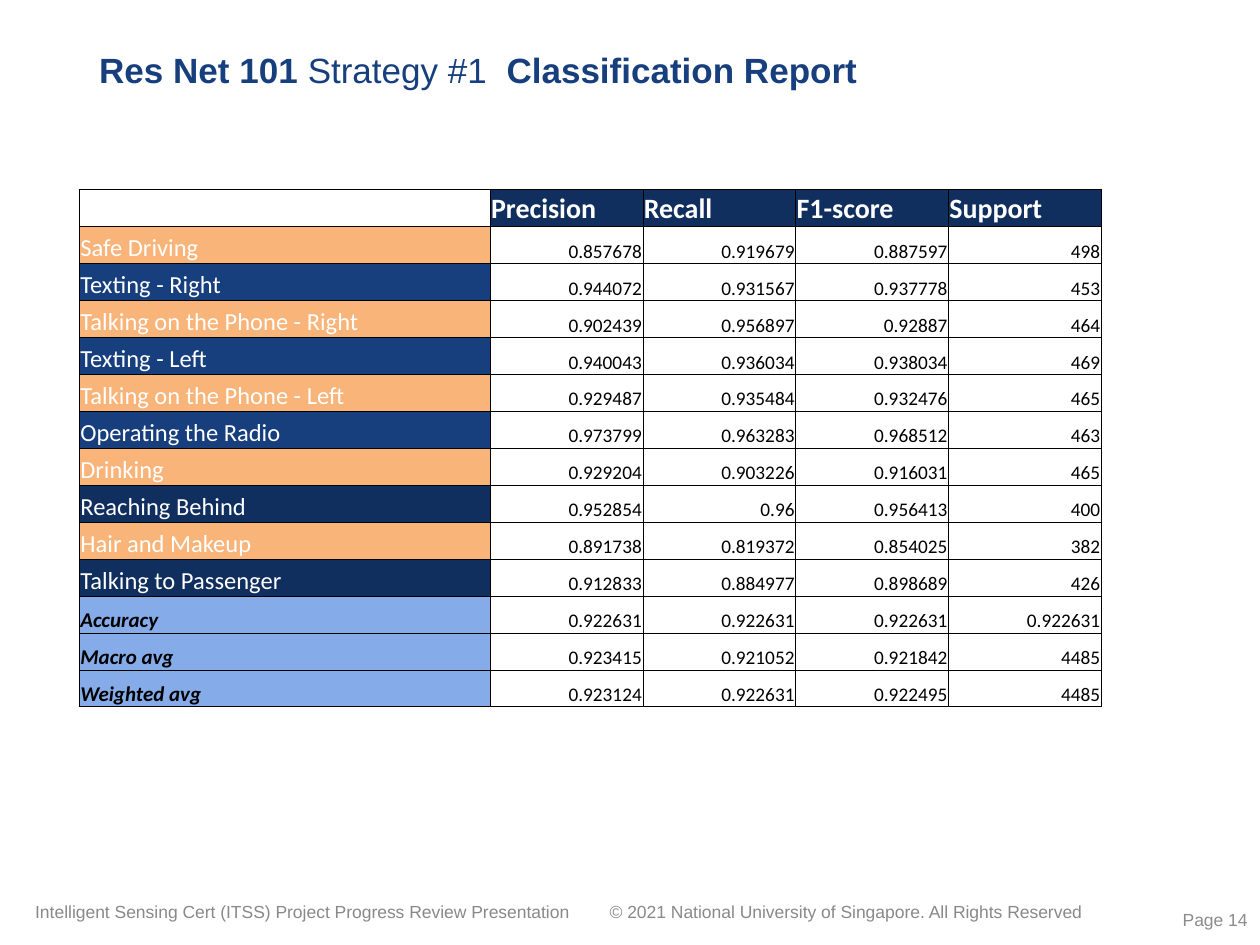
from dataclasses import dataclass

from lxml.etree import SubElement
from pptx import Presentation
from pptx.dml.color import RGBColor
from pptx.enum.text import MSO_ANCHOR, PP_ALIGN
from pptx.oxml.ns import qn
from pptx.slide import Slide
from pptx.table import _Cell
from pptx.util import Cm, Pt


@dataclass(frozen=True)
class Theme:
    """Colours, fonts and type sizes of the slide."""
    navy: str = "112F5E"
    blue: str = "173F7E"
    orange: str = "F9B479"
    light_blue: str = "85ACE9"
    white: str = "FFFFFF"
    black: str = "000000"
    footer_grey: str = "898989"
    page_grey: str = "8C8C8C"
    slide_font: str = "Arial"
    table_font: str = "Calibri"
    title_size: int = 20
    footer_size: int = 10
    header_size: int = 16
    label_size: int = 14
    summary_size: int = 12
    value_size: int = 11


THEME = Theme()


@dataclass(frozen=True)
class TextStyle:
    """Look of one paragraph."""
    size: int
    color: str
    font: str = THEME.table_font
    bold: bool = False
    italic: bool = False
    align: PP_ALIGN = PP_ALIGN.LEFT


@dataclass(frozen=True)
class Label:
    """Text box placed in centimetres."""
    runs: tuple[tuple[str, bool], ...]
    box: tuple[float, float, float, float]
    style: TextStyle
    anchor: MSO_ANCHOR = MSO_ANCHOR.TOP
    line_spacing: float = 1.0


@dataclass(frozen=True)
class ReportRow:
    """One line of the classification report."""
    name: str
    values: tuple[str, ...]
    fill: str
    summary: bool = False


HEADER = TextStyle(THEME.header_size, THEME.white, bold=True)
CLASS_NAME = TextStyle(THEME.label_size, THEME.white)
SUMMARY_NAME = TextStyle(THEME.summary_size, THEME.black, bold=True, italic=True)
VALUE = TextStyle(THEME.value_size, THEME.black, align=PP_ALIGN.RIGHT)
TITLE = TextStyle(THEME.title_size, THEME.blue, THEME.slide_font)
FOOTER = TextStyle(THEME.footer_size, THEME.footer_grey, THEME.slide_font)
PAGE = TextStyle(THEME.footer_size, THEME.page_grey, THEME.slide_font, align=PP_ALIGN.RIGHT)

LABELS = (
    Label((("© 2021 National University of Singapore. All Rights Reserved", False),),
          (12.04, 18.03, 11.07, 0.66), FOOTER),
    Label((("Intelligent Sensing Cert (ITSS) Project Progress Review Presentation", False),),
          (0.46, 18.03, 11.58, 0.66), FOOTER),
    Label((("Res Net 101 ", True), ("Strategy #1 ", False), (" Classification Report", True)),
          (1.75, 0.69, 18.34, 1.52), TITLE, MSO_ANCHOR.MIDDLE, 0.9),
    Label((("Page 14", False),), (22.22, 18.03, 3.18, 1.02), PAGE, MSO_ANCHOR.MIDDLE),
)

METRICS = ("Precision", "Recall", "F1-score", "Support")
REPORT = (
    ReportRow("Safe Driving", ("0.857678", "0.919679", "0.887597", "498"), THEME.orange),
    ReportRow("Texting - Right", ("0.944072", "0.931567", "0.937778", "453"), THEME.blue),
    ReportRow("Talking on the Phone - Right", ("0.902439", "0.956897", "0.92887", "464"), THEME.orange),
    ReportRow("Texting - Left", ("0.940043", "0.936034", "0.938034", "469"), THEME.blue),
    ReportRow("Talking on the Phone - Left", ("0.929487", "0.935484", "0.932476", "465"), THEME.orange),
    ReportRow("Operating the Radio", ("0.973799", "0.963283", "0.968512", "463"), THEME.blue),
    ReportRow("Drinking", ("0.929204", "0.903226", "0.916031", "465"), THEME.orange),
    ReportRow("Reaching Behind", ("0.952854", "0.96", "0.956413", "400"), THEME.navy),
    ReportRow("Hair and Makeup", ("0.891738", "0.819372", "0.854025", "382"), THEME.orange),
    ReportRow("Talking to Passenger", ("0.912833", "0.884977", "0.898689", "426"), THEME.navy),
    ReportRow("Accuracy", ("0.922631",) * 4, THEME.light_blue, True),
    ReportRow("Macro avg", ("0.923415", "0.921052", "0.921842", "4485"), THEME.light_blue, True),
    ReportRow("Weighted avg", ("0.923124", "0.922631", "0.922495", "4485"), THEME.light_blue, True),
)


def style_paragraph(paragraph, style: TextStyle) -> None:
    paragraph.alignment = style.align
    font = paragraph.font
    font.name, font.size = style.font, Pt(style.size)
    font.bold, font.italic = style.bold, style.italic
    font.color.rgb = RGBColor.from_string(style.color)


def add_label(slide: Slide, label: Label) -> None:
    frame = slide.shapes.add_textbox(*map(Cm, label.box)).text_frame
    frame.word_wrap = True
    frame.vertical_anchor = label.anchor
    paragraph = frame.paragraphs[0]
    paragraph.line_spacing = label.line_spacing
    style_paragraph(paragraph, label.style)
    for text, bold in label.runs:
        run = paragraph.add_run()
        run.text = text
        if bold:
            run.font.bold = True


def add_borders(cell: _Cell) -> None:
    properties = cell._tc.get_or_add_tcPr()
    for side in ("a:lnL", "a:lnR", "a:lnT", "a:lnB"):
        line = SubElement(properties, qn(side), w=str(Pt(0.5)))
        fill = SubElement(line, qn("a:solidFill"))
        SubElement(fill, qn("a:srgbClr"), val=THEME.black)


def fill_cell(cell: _Cell, text: str, style: TextStyle, fill: str | None = None) -> None:
    add_borders(cell)
    cell.margin_left = cell.margin_right = cell.margin_top = Cm(0.02)
    cell.margin_bottom = 0
    cell.vertical_anchor = MSO_ANCHOR.BOTTOM
    if fill:
        cell.fill.solid()
        cell.fill.fore_color.rgb = RGBColor.from_string(fill)
    else:
        cell.fill.background()
    cell.text = text
    style_paragraph(cell.text_frame.paragraphs[0], style)


def add_report(slide: Slide) -> None:
    name_width, metric_width, height = 8.28, 3.08, 10.44
    row_count = len(REPORT) + 1
    width = name_width + metric_width * len(METRICS)
    table = slide.shapes.add_table(row_count, len(METRICS) + 1, Cm(1.6), Cm(3.82),
                                   Cm(width), Cm(height)).table
    table.first_row = table.horz_banding = False
    for index, column in enumerate(table.columns):
        column.width = Cm(metric_width if index else name_width)
    for row in table.rows:
        row.height = Cm(height / row_count)

    fill_cell(table.cell(0, 0), "", VALUE)
    for column_index, metric in enumerate(METRICS, 1):
        fill_cell(table.cell(0, column_index), metric, HEADER, THEME.navy)
    for row_index, entry in enumerate(REPORT, 1):
        name_style = SUMMARY_NAME if entry.summary else CLASS_NAME
        fill_cell(table.cell(row_index, 0), entry.name, name_style, entry.fill)
        for column_index, value in enumerate(entry.values, 1):
            fill_cell(table.cell(row_index, column_index), value, VALUE)


def main() -> None:
    presentation = Presentation()
    presentation.slide_width, presentation.slide_height = Cm(25.4), Cm(19.05)
    slide = presentation.slides.add_slide(presentation.slide_layouts[6])
    for label in LABELS:
        add_label(slide, label)
    add_report(slide)
    presentation.save("out.pptx")


if __name__ == "__main__":
    main()
